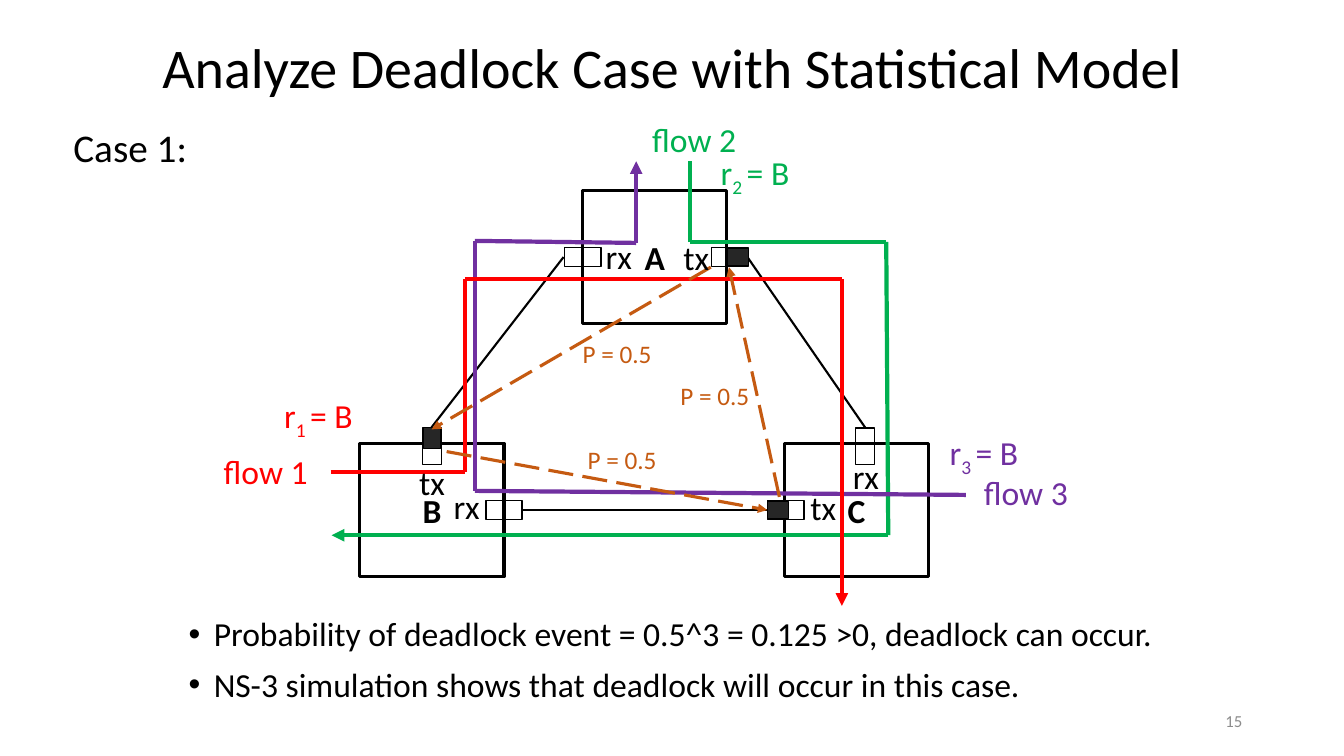
from dataclasses import dataclass
from itertools import pairwise

from lxml import etree
from pptx import Presentation
from pptx.dml.color import RGBColor
from pptx.enum.dml import MSO_LINE
from pptx.enum.shapes import MSO_CONNECTOR, MSO_SHAPE
from pptx.enum.text import MSO_ANCHOR, MSO_AUTO_SIZE, PP_ALIGN
from pptx.oxml.ns import qn
from pptx.util import Inches, Pt

LEFT, CENTER, RIGHT = PP_ALIGN.LEFT, PP_ALIGN.CENTER, PP_ALIGN.RIGHT
TOP, MIDDLE = MSO_ANCHOR.TOP, MSO_ANCHOR.MIDDLE
STRAIGHT, RECTANGLE, LONG_DASH = MSO_CONNECTOR.STRAIGHT, MSO_SHAPE.RECTANGLE, MSO_LINE.LONG_DASH

BLACK = RGBColor(0x00, 0x00, 0x00)
DARK = RGBColor(0x26, 0x26, 0x26)
GRAY = RGBColor(0x8C, 0x8C, 0x8C)
RED = RGBColor(0xFF, 0x00, 0x00)
GREEN = RGBColor(0x00, 0xB0, 0x50)
PURPLE = RGBColor(0x70, 0x30, 0xA0)
ORANGE = RGBColor(0xC5, 0x5A, 0x11)

FONT = "Calibri"
SWITCH_WIDTH, SWITCH_HEIGHT = 14.3, 13.2
PORT_LENGTH, PORT_THICKNESS = 3.6, 1.9
QUEUE_LENGTH, QUEUE_THICKNESS, QUEUE_SHIFT = 2.1, 1.7, 0.8

SWITCHES = {"A": (37.8, 8.9), "B": (15.7, 34), "C": (57.8, 34)}
PORTS = [
    ("A", 0, 0.5, (-1, 0), False), ("A", 1.02, 0.5, (1, 0), True),
    ("B", 0.5, 0.02, (0, -1), True), ("B", 1, 0.5, (1, 0), False),
    ("C", 0.01, 0.5, (-1, 0), True), ("C", 0.56, 0.02, (0, -1), False),
]
LINKS = [
    [(35.9, 15.5), (22.8, 32.4)],
    [(54.2, 15.6), (65.8, 32.4)],
    [(31.8, 40.6), (56.1, 40.6)],
]
FLOWS = [
    (GREEN, [(48.4, 6), (48.4, 14), (67.9, 14), (68.1, 43.1), (12.9, 43.1)]),
    (PURPLE, [(75.8, 39.1), (27.1, 38.7), (27.1, 13.9), (43.1, 14.1), (43.1, 6)]),
    (RED, [(12.8, 36.8), (26.1, 36.8), (26.1, 17.7), (63.5, 17.7), (63.5, 50.1)]),
]
WAITS = [
    [(24.3, 34.8), (56.1, 40.6)],
    [(57.3, 39.3), (52.3, 16.5)],
    [(50.5, 16.5), (22.8, 32.6)],
]
PORT_LABELS = [
    ("rx", 39.1, 12.9), ("tx", 46.8, 13), ("tx", 20.6, 35.3),
    ("rx", 24, 37.7), ("tx", 59.4, 37.8), ("rx", 63.6, 34.7),
]
FLOW_LABELS = [
    ("flow 1", 1.2, 34.2, RED), ("flow 2", 43.7, 1.3, GREEN), ("flow 3", 76.6, 36.3, PURPLE),
]
RATE_LABELS = [("1", 7.2, 28.7, RED), ("2", 50.5, 4.6, GREEN), ("3", 73.2, 32.4, PURPLE)]
WAIT_LABELS = [(36.8, 23.1), (46.5, 27.2), (37.3, 33.6)]


@dataclass
class Grid:
    """A region divided into square cells."""
    left: float
    top: float
    cell: float

    def point(self, column, row):
        """Return the slide position of a grid point."""
        return Inches(self.left + column * self.cell), Inches(self.top + row * self.cell)

    def frame(self, column, row, columns, rows):
        """Return left, top, width and height of a block of cells."""
        return *self.point(column, row), Inches(columns * self.cell), Inches(rows * self.cell)


def format_text(paragraph, size, color, bold=False):
    """Format every run of a paragraph."""
    for run in paragraph.runs:
        font = run.font
        font.name, font.size, font.bold = FONT, Pt(size), bold
        font.color.rgb = color


def add_label(slide, frame, text, size, color, align=LEFT, anchor=TOP):
    """Add a one-line text box and return its paragraph."""
    text_frame = slide.shapes.add_textbox(*frame).text_frame
    text_frame.word_wrap = False
    text_frame.vertical_anchor = anchor
    paragraph = text_frame.paragraphs[0]
    paragraph.text = text
    paragraph.alignment = align
    format_text(paragraph, size, color)
    return paragraph


def add_rectangle(slide, frame, width, fill=None):
    """Add a black outlined rectangle, hollow unless a fill is given."""
    shape = slide.shapes.add_shape(RECTANGLE, *frame)
    shape.shadow.inherit = False
    shape.line.color.rgb = BLACK
    shape.line.width = Pt(width)
    if fill is None:
        shape.fill.background()
    else:
        shape.fill.solid()
        shape.fill.fore_color.rgb = fill
    return shape


def add_route(slide, grid, points, color, width, arrow=True, dash=None):
    """Join grid points with straight lines, with an arrowhead at the end."""
    for start, end in pairwise(points):
        line = slide.shapes.add_connector(STRAIGHT, *grid.point(*start), *grid.point(*end))
        line.line.color.rgb = color
        line.line.width = Pt(width)
        if dash is not None:
            line.line.dash_style = dash
        properties = line._element.spPr
        etree.SubElement(properties, qn("a:effectLst"))
    if arrow:
        etree.SubElement(properties.find(qn("a:ln")), qn("a:tailEnd"), type="triangle")


def add_switch(slide, grid, name, column, row):
    """Draw a named switch."""
    shape = add_rectangle(slide, grid.frame(column, row, SWITCH_WIDTH, SWITCH_HEIGHT), 2.25)
    shape.text_frame.text = name
    shape.text_frame.vertical_anchor = MIDDLE
    paragraph = shape.text_frame.paragraphs[0]
    paragraph.alignment = CENTER
    format_text(paragraph, 24, BLACK, bold=True)


def add_port(slide, grid, switch, share_x, share_y, outward, sends):
    """Draw a port on a switch edge, with a full queue when it sends."""
    column, row = SWITCHES[switch]
    center_x = column + share_x * SWITCH_WIDTH
    center_y = row + share_y * SWITCH_HEIGHT
    parts = [(PORT_LENGTH, PORT_THICKNESS, 0, None)]
    if sends:
        parts.append((QUEUE_LENGTH, QUEUE_THICKNESS, QUEUE_SHIFT, DARK))
    for length, thickness, shift, fill in parts:
        width, height = (length, thickness) if outward[0] else (thickness, length)
        x = center_x + outward[0] * shift - width / 2
        y = center_y + outward[1] * shift - height / 2
        add_rectangle(slide, grid.frame(x, y, width, height), 1, fill)


def add_diagram(slide, grid):
    """Draw the switches, links, flows, waits and their labels."""
    for name, corner in SWITCHES.items():
        add_switch(slide, grid, name, *corner)
    for points in LINKS:
        add_route(slide, grid, points, BLACK, 1.5, arrow=False)
    for port in PORTS:
        add_port(slide, grid, *port)
    for color, points in FLOWS:
        add_route(slide, grid, points, color, 3)
    for points in WAITS:
        add_route(slide, grid, points, ORANGE, 2.25, dash=LONG_DASH)
    for text, column, row in PORT_LABELS:
        add_label(slide, grid.frame(column, row, 4.6, 5), text, 24, BLACK)
    for text, column, row, color in FLOW_LABELS:
        add_label(slide, grid.frame(column, row, 10.4, 5), text, 24, color)
    for index, column, row, color in RATE_LABELS:
        paragraph = add_label(slide, grid.frame(column, row, 9.1, 5), "r", 24, color)
        subscript = paragraph.add_run()
        subscript.text = f"{index} "
        paragraph.add_run().text = "= B"
        format_text(paragraph, 24, color)
        subscript._r.get_or_add_rPr().set("baseline", "-25000")
    for column, row in WAIT_LABELS:
        add_label(slide, grid.frame(column, row, 8.9, 4), "P = 0.5", 18, ORANGE)


def place(shape, frame):
    """Move a placeholder into a frame and fix its text size."""
    shape.left, shape.top, shape.width, shape.height = frame
    shape.text_frame.word_wrap = True
    shape.text_frame.auto_size = MSO_AUTO_SIZE.NONE


def add_title(slide, frame, text):
    """Fill the title placeholder."""
    title = slide.shapes.title
    place(title, frame)
    title.text_frame.text = text
    title.text_frame.paragraphs[0].alignment = CENTER
    format_text(title.text_frame.paragraphs[0], 40, BLACK)


def add_findings(slide, frame, findings):
    """Fill the body placeholder with bullets."""
    body = slide.placeholders[1]
    place(body, frame)
    body.text_frame.text = "\n".join(findings)
    for index, paragraph in enumerate(body.text_frame.paragraphs):
        properties = paragraph._p.get_or_add_pPr()
        properties.set("marL", str(Inches(0.25)))
        properties.set("indent", str(-Inches(0.25)))
        etree.SubElement(properties, qn("a:buFont"), typeface="Arial")
        etree.SubElement(properties, qn("a:buChar"), char="•")
        paragraph.line_spacing = 0.9
        paragraph.space_before = Pt(10 if index else 0)
        format_text(paragraph, 24, BLACK)


def main():
    """Build and save the slide."""
    presentation = Presentation()
    presentation.slide_width, presentation.slide_height = Inches(13.33), Inches(7.5)
    slide = presentation.slides.add_slide(presentation.slide_layouts[1])
    page = Grid(0, 0, 0.1)
    add_title(slide, page.frame(5, 2.7, 123.3, 7.7), "Analyze Deadlock Case with Statistical Model")
    add_label(slide, page.frame(6.3, 11.7, 13.4, 5.7), "Case 1:", 28, BLACK)
    add_diagram(slide, Grid(2, 1, 0.1))
    add_findings(slide, page.frame(17.7, 60.8, 98, 10.9), [
        "Probability of deadlock event = 0.5^3 = 0.125 >0, deadlock can occur.",
        "NS-3 simulation shows that deadlock will occur in this case.",
    ])
    add_label(slide, page.frame(94.2, 69.5, 30, 4), "15", 12, GRAY, RIGHT, MIDDLE)
    presentation.save("out.pptx")


if __name__ == "__main__":
    main()
